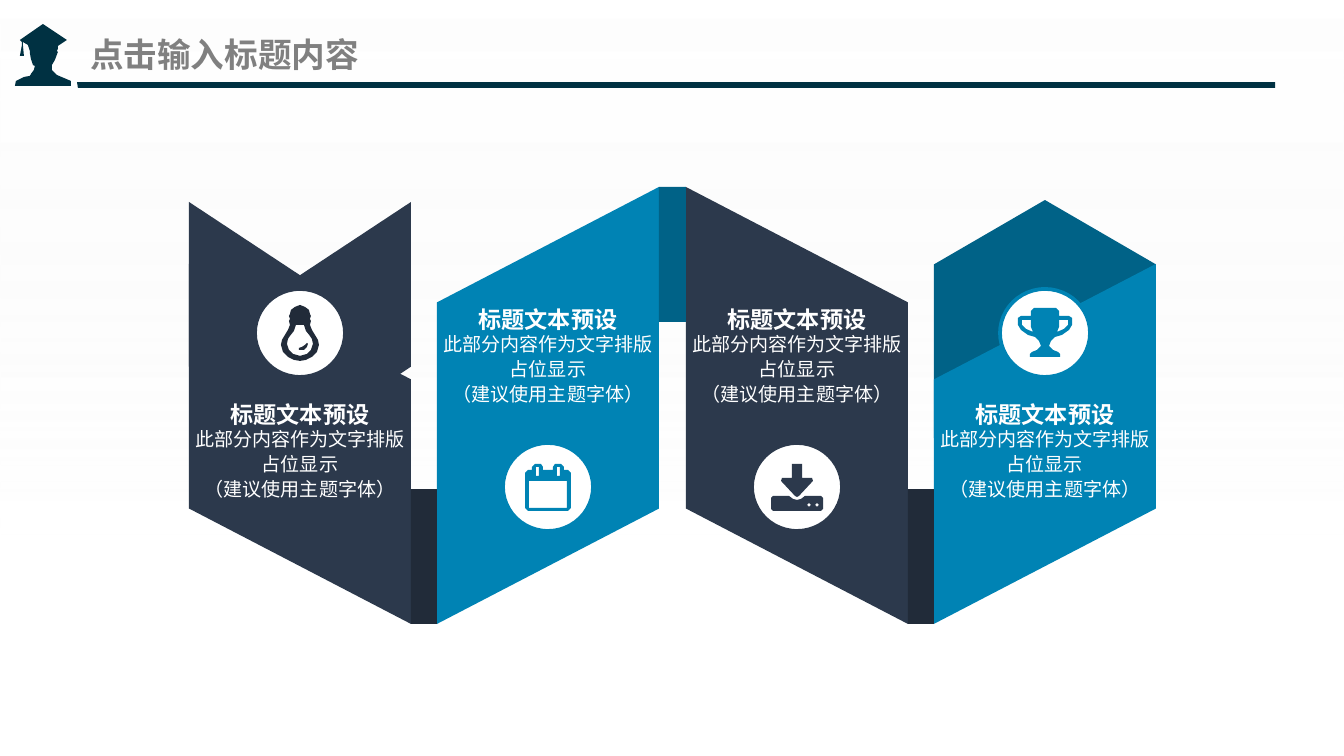
from dataclasses import dataclass

import pptx
import pptx.dml.color
import pptx.enum.dml
import pptx.enum.shapes
import pptx.enum.text
import pptx.oxml
import pptx.oxml.ns
import pptx.util

PX = 914400 / 134.4
COLORS = {"white": "FFFFFF", "haze": "F2F2F2", "gray": "808080", "rule": "003142",
          "navy": "2C394C", "navy_fold": "212B39", "blue": "0083B4", "blue_fold": "006287"}
CJK_FONT = "Noto Sans CJK SC"
PRESET = pptx.enum.shapes.MSO_SHAPE
ALIGN = pptx.enum.text.PP_ALIGN
ANCHOR = pptx.enum.text.MSO_ANCHOR

Contour = list[tuple[int, int]]
PANEL_WIDTH, PANEL_BOTTOM = 222, 624
FOLD_HEIGHT = 135
HEADING = "标题文本预设"
BODY = ["此部分内容作为文字排版占位显示", "（建议使用主题字体）"]


@dataclass(frozen=True)
class Panel:
    color: str
    top: int
    heading_top: int
    badge_y: int
    icon: list[Contour]
    icon_color: str
    rising: bool = False

    @property
    def fold_color(self) -> str:
        return self.color + "_fold"


@dataclass(frozen=True)
class Cap:
    """Chevron that closes the ribbon at one end."""
    panel: int
    top: int
    rotation: int
    notch: float
    color: str


def px(length: float) -> int:
    return round(length * PX)


def rgb(name: str) -> pptx.dml.color.RGBColor:
    return pptx.dml.color.RGBColor.from_string(COLORS[name])


def flip(contour: Contour) -> Contour:
    return [(-x, y) for x, y in contour]


def mirrored(right_half: Contour) -> Contour:
    """Close a right half with its reflection in the vertical axis."""
    return right_half + flip(right_half)[::-1]


def paint(shape, color: str) -> None:
    shape.shadow.inherit = False
    shape.fill.solid()
    shape.fill.fore_color.rgb = rgb(color)
    shape.line.fill.background()


def add_preset(slide, kind, left: int, top: int, width: int, height: int, color: str):
    shape = slide.shapes.add_shape(kind, px(left), px(top), px(width), px(height))
    paint(shape, color)
    return shape


def add_upright(slide, kind, left: int, top: int, height: int, rotation: int,
                adjustment: float, color: str):
    """Add a panel-wide preset turned by a quarter, placed by its turned bounds."""
    shift = (height - PANEL_WIDTH) / 2
    shape = add_preset(slide, kind, left - shift, top + shift, height, PANEL_WIDTH, color)
    shape.rotation = rotation
    shape.adjustments[0] = adjustment
    return shape


def add_outline(slide, contours: list[Contour], color: str, x: int = 0, y: int = 0) -> None:
    first, *others = [[(x + dx, y + dy) for dx, dy in contour] for contour in contours]
    builder = slide.shapes.build_freeform(*first[0], scale=PX)
    builder.add_line_segments(first[1:], close=True)
    for contour in others:
        builder.move_to(*contour[0])
        builder.add_line_segments(contour[1:], close=True)
    paint(builder.convert_to_shape(), color)


def format_text(frame, size: float, font: str, color: str, bold: bool, align) -> None:
    for paragraph in frame.paragraphs:
        paragraph.alignment = align
        for run in paragraph.runs:
            run.font.size = pptx.util.Pt(size)
            run.font.name = font
            run.font.bold = bold
            run.font.color.rgb = rgb(color)
            east_asian = pptx.oxml.parse_xml(
                f'<a:ea {pptx.oxml.ns.nsdecls("a")} typeface="{CJK_FONT}"/>')
            run._r.get_or_add_rPr().append(east_asian)


def add_text(slide, left: int, top: int, width: int, height: int, lines: list[str],
             size: float, bold: bool, wrap: bool, anchor, spacing: float):
    frame = slide.shapes.add_textbox(px(left), px(top), px(width), px(height)).text_frame
    frame.margin_left = frame.margin_right = frame.margin_top = frame.margin_bottom = 0
    frame.word_wrap = wrap
    frame.vertical_anchor = anchor
    frame.text = "\n".join(lines)
    format_text(frame, size, "Arial", "white", bold, ALIGN.CENTER)
    for paragraph in frame.paragraphs:
        paragraph.line_spacing = spacing


def add_backdrop(slide, width: int, height: int) -> None:
    backdrop = add_preset(slide, PRESET.RECTANGLE, 0, 0, width, height, "white")
    backdrop.fill.gradient()
    backdrop.fill.gradient_angle = 270
    stops = zip(backdrop.fill.gradient_stops, ((0, "white"), (0.71, "haze")))
    for stop, (position, color) in stops:
        stop.position = position
        stop.color.rgb = rgb(color)
    for element, alpha in zip(backdrop._element.xpath(".//a:gs/a:srgbClr"), (55000, 0)):
        element.append(pptx.oxml.parse_xml(
            f'<a:alpha {pptx.oxml.ns.nsdecls("a")} val="{alpha}"/>'))


def add_title(slide) -> None:
    title = slide.shapes.title
    title.left, title.top, title.width, title.height = map(px, (90, 26, 313, 56))
    frame = title.text_frame
    frame.margin_left = frame.margin_right = 0
    frame.vertical_anchor = ANCHOR.MIDDLE
    frame.text = "点击输入标题内容"
    format_text(frame, 18, CJK_FONT, "gray", True, ALIGN.LEFT)


def panel_left(index: int) -> int:
    return 189 + index * 497 // 2


def add_panel(slide, index: int, panel: Panel) -> None:
    body = add_upright(slide, PRESET.PARALLELOGRAM, panel_left(index), panel.top,
                       PANEL_BOTTOM - panel.top, 270 if panel.rising else 90, 0.52, panel.color)
    if panel.rising:
        body._element.spPr.xfrm.set("flipV", "1")


def add_content(slide, index: int, panel: Panel) -> None:
    left = panel_left(index)
    center = left + PANEL_WIDTH // 2
    badge = add_preset(slide, PRESET.OVAL, center - 45, panel.badge_y - 44, 90, 88, "white")
    badge.line.color.rgb = rgb(panel.color)
    badge.line.width = pptx.util.Pt(2)
    add_outline(slide, panel.icon, panel.icon_color, center, panel.badge_y)
    add_text(slide, left, panel.heading_top + 22, PANEL_WIDTH, 78, BODY,
             10.2, False, True, ANCHOR.TOP, 1.1)
    add_text(slide, left + 9, panel.heading_top, 204, 22, [HEADING],
             12.4, True, False, ANCHOR.MIDDLE, 1.0)


GRADUATE = [[(71, 81), (64, 78), (57, 75), (54, 72), (52, 70), (52, 65), (55, 60), (58, 52),
             (57, 51), (58, 49), (58, 46), (67, 40), (43, 24), (20, 40), (22, 42), (22, 45),
             (20, 56), (24, 56), (23, 45), (23, 42), (28, 45), (30, 51), (30, 53), (31, 59),
             (33, 65), (35, 66), (34, 70), (31, 74), (30, 76), (24, 77), (16, 81), (15, 86),
             (71, 86)]]
BULB = [mirrored([(0, -28), (5, -26), (9, -23), (10, -19), (11, -17), (10, -14), (11, -12),
                  (10, -8), (12, -3), (15, 2), (18, 7), (19, 12), (17, 19), (12, 24), (6, 27),
                  (0, 28)]),
        mirrored([(4, -8), (6, -2), (10, 3), (12, 6), (13, 11), (11, 17), (7, 21), (0, 23)]),
        [(7, 10), (5, 12), (2, 14), (-1, 15), (-1, 17), (4, 17), (7, 14), (8, 11)]]
RING_SLOT = [(9, -20), (12, -20), (12, -11), (9, -11)]
CALENDAR = [mirrored([(5, -17), (5, -20), (7, -23), (13, -23), (16, -20), (16, -17), (20, -17),
                      (23, -14), (23, 21), (20, 24)]),
            mirrored([(19, -6), (19, 21)]), RING_SLOT, flip(RING_SLOT)]
DOWNLOAD = [mirrored([(5, -23), (5, -9), (15, -9), (16, -6), (2, 9), (0, 10)]),
            mirrored([(0, 13), (4, 12), (8, 9), (24, 9), (26, 11), (26, 22), (24, 24)]),
            *[[(x - 2, 18), (x, 16), (x + 2, 18), (x, 20)] for x in (12, 20)]]
HANDLE = [(14, -13), (23, -13), (23, -8), (19, -4), (12, -1), (14, -6)]
TROPHY = [mirrored([(11, -25), (14, -22), (14, -17), (24, -17), (27, -15), (27, -8), (24, -3),
                    (17, 2), (10, 4), (6, 8), (4, 13), (8, 17), (13, 19), (15, 21), (15, 24)]),
          HANDLE, flip(HANDLE)]

PANELS = [Panel("navy", 264, 403, 333, BULB, "navy_fold"),
          Panel("blue", 187, 308, 487, CALENDAR, "blue", rising=True),
          Panel("navy", 187, 308, 487, DOWNLOAD, "navy"),
          Panel("blue", 264, 403, 333, TROPHY, "blue", rising=True)]
CAPS = [Cap(3, 200, 270, 0.29, "blue_fold"), Cap(0, 202, 90, 0.33, "navy")]


def main() -> None:
    deck = pptx.Presentation()
    deck.slide_width, deck.slide_height = px(1344), px(756)
    slide = deck.slides.add_slide(deck.slide_layouts[5])
    add_backdrop(slide, 1344, 756)
    add_title(slide)
    # The backdrop goes behind the title placeholder.
    slide.shapes._spTree.append(slide.shapes.title._element)
    add_outline(slide, [[(77, 82), (1275, 82), (1275, 88), (78, 88)]], "rule")
    add_outline(slide, GRADUATE, "rule")

    for cap in CAPS:
        add_upright(slide, PRESET.CHEVRON, panel_left(cap.panel), cap.top, 238,
                    cap.rotation, cap.notch, cap.color)
    for index, panel in enumerate(PANELS):
        add_panel(slide, index, panel)
    for index, panel in enumerate(PANELS[:-1]):
        right = panel_left(index) + PANEL_WIDTH
        top = 187 if panel.rising else PANEL_BOTTOM - FOLD_HEIGHT
        add_preset(slide, PRESET.RECTANGLE, right, top, panel_left(index + 1) - right,
                   FOLD_HEIGHT, panel.fold_color)
    for index, panel in enumerate(PANELS):
        add_content(slide, index, panel)
    deck.save("out.pptx")


if __name__ == "__main__":
    main()
